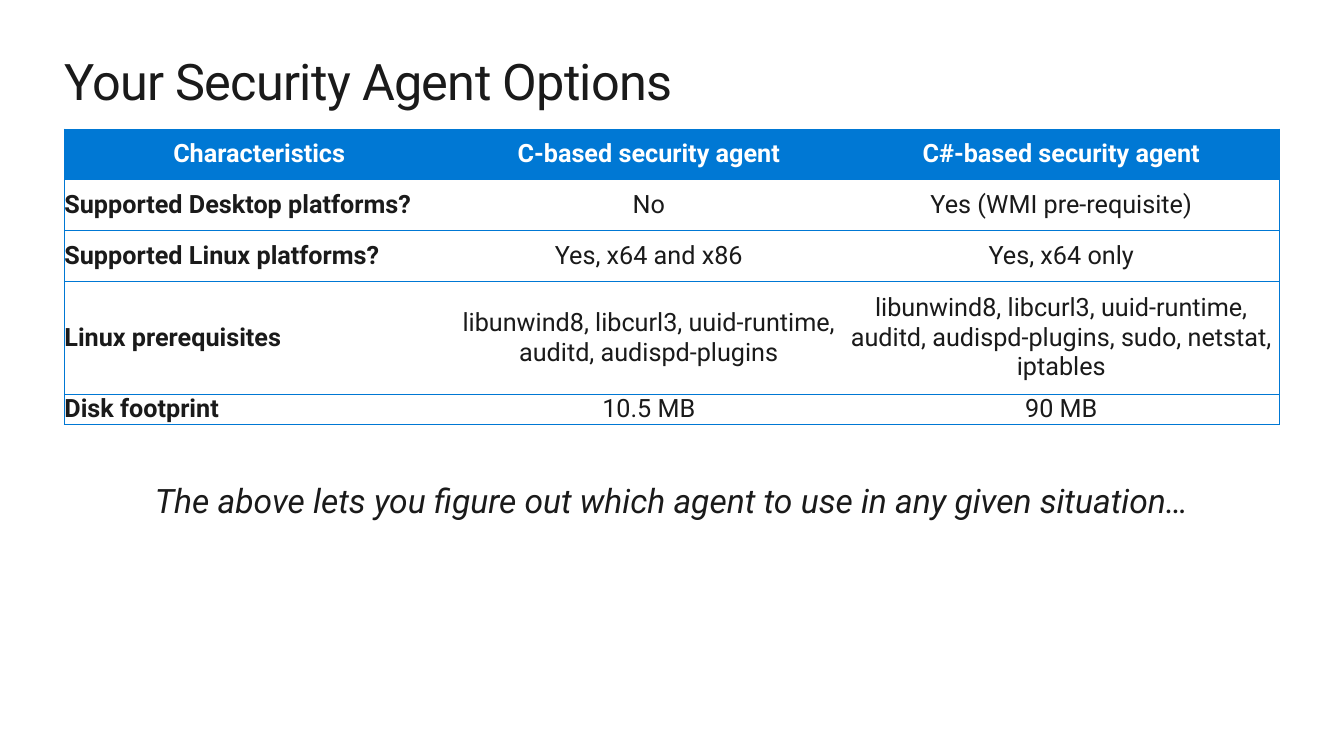
from lxml.etree import SubElement
from pptx import Presentation
from pptx.dml.color import RGBColor
from pptx.enum.text import MSO_ANCHOR, PP_ALIGN
from pptx.oxml.ns import qn
from pptx.util import Pt

BLUE, INK, WHITE = "0078D4", "1A1A1A", "FFFFFF"
LEFT, WIDTH = 46, 867.6


def style(p, text, size, color, align=PP_ALIGN.LEFT, bold=False, italic=False):
    r = p.add_run()
    r.text = text
    p.alignment = align
    p.font.name = "Roboto"
    p.font.size = Pt(size)
    p.font.bold = bold
    p.font.italic = italic
    p.font.color.rgb = RGBColor.from_string(color)
    return r


def add_text(s, top, height, text, size, **look):
    tf = s.shapes.add_textbox(Pt(LEFT), Pt(top), Pt(WIDTH), Pt(height)).text_frame
    tf.word_wrap = True
    tf.margin_left = tf.margin_right = tf.margin_top = tf.margin_bottom = 0
    return style(tf.paragraphs[0], text, size, INK, **look)


prs = Presentation()
prs.slide_width, prs.slide_height = Pt(960), Pt(540)
s = prs.slides.add_slide(prs.slide_layouts[6])

title = add_text(s, 36, 44, "Your Security Agent Options", 36)
title.font._element.set("spc", "-50")

rows = [
    ("Characteristics", "C-based security agent", "C#-based security agent"),
    ("Supported Desktop platforms?", "No", "Yes (WMI pre-requisite)"),
    ("Supported Linux platforms?", "Yes, x64 and x86", "Yes, x64 only"),
    ("Linux prerequisites",
     "libunwind8, libcurl3, uuid-runtime, auditd, audispd-plugins",
     "libunwind8, libcurl3, uuid-runtime, auditd, audispd-plugins, sudo, netstat, iptables"),
    ("Disk footprint", "10.5 MB", "90 MB"),
]
col_widths = [278.3, 278.3, 311]
row_heights = [36.2, 36.2, 36.2, 80.8, 18]

table = s.shapes.add_table(len(rows), len(col_widths), Pt(LEFT), Pt(92.2),
                           Pt(WIDTH), Pt(sum(row_heights))).table
for column, width in zip(table.columns, col_widths):
    column.width = Pt(width)

for i, (row, height) in enumerate(zip(rows, row_heights)):
    table.rows[i].height = Pt(height)
    for j, text in enumerate(row):
        cell = table.cell(i, j)
        cell.vertical_anchor = MSO_ANCHOR.MIDDLE
        cell.margin_left = cell.margin_right = cell.margin_top = cell.margin_bottom = 0
        header = i == 0
        style(cell.text_frame.paragraphs[0], text, 18, WHITE if header else INK,
              align=PP_ALIGN.CENTER if header or j else PP_ALIGN.LEFT,
              bold=header or j == 0)

        tcPr = cell._tc.get_or_add_tcPr()
        borders = {"L": j == 0, "R": j == len(row) - 1, "T": True, "B": True}
        for side, visible in borders.items():
            ln = SubElement(tcPr, qn(f"a:ln{side}"), w=str(Pt(0.75)))
            if visible:
                fill = SubElement(ln, qn("a:solidFill"))
                SubElement(fill, qn("a:srgbClr"), val=BLUE)
            else:
                SubElement(ln, qn("a:noFill"))
        if header:
            cell.fill.solid()
            cell.fill.fore_color.rgb = RGBColor.from_string(BLUE)
        else:
            cell.fill.background()

add_text(s, 343, 29, "The above lets you figure out which agent to use in any given situation…",
         24, align=PP_ALIGN.CENTER, italic=True)

prs.save("out.pptx")
